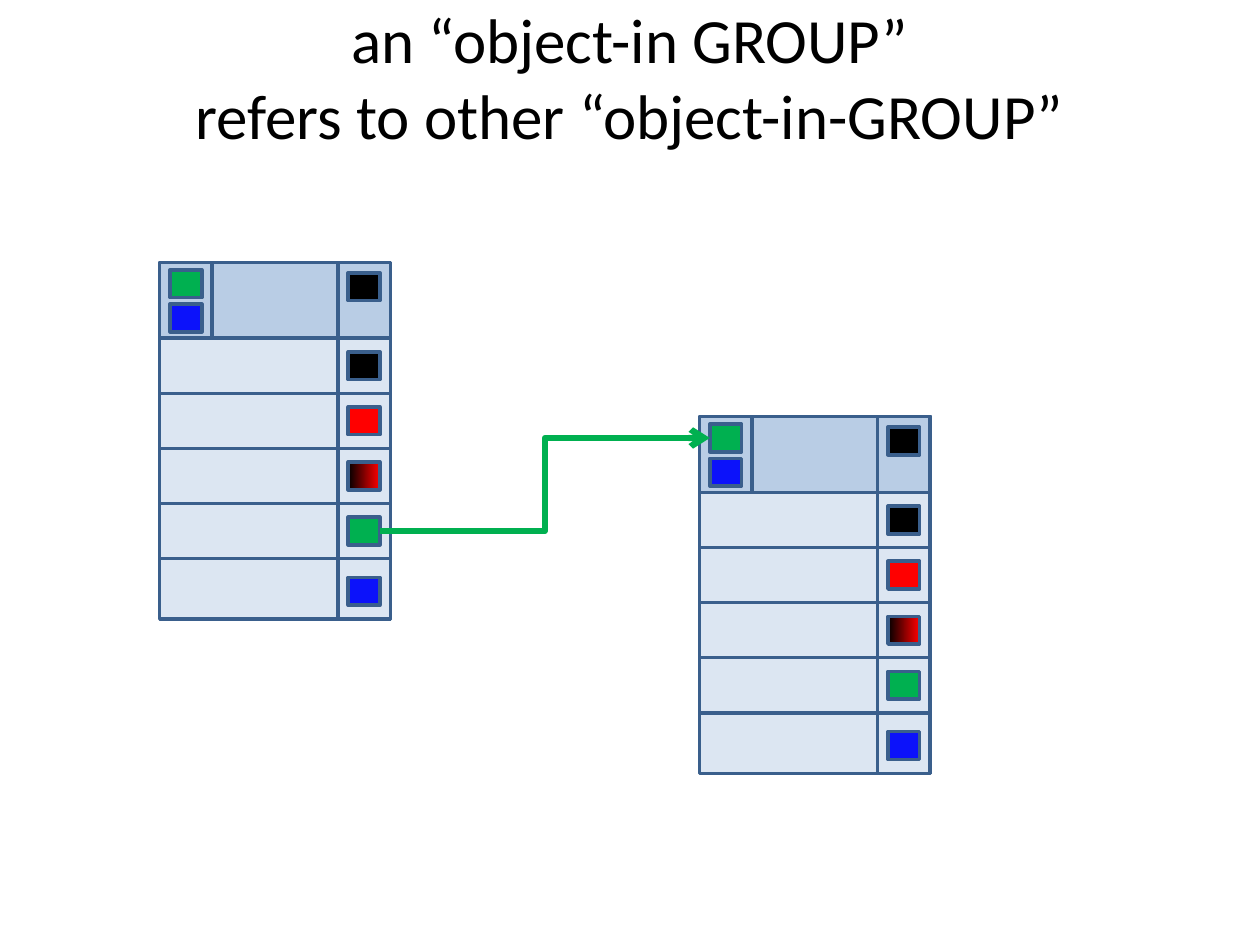
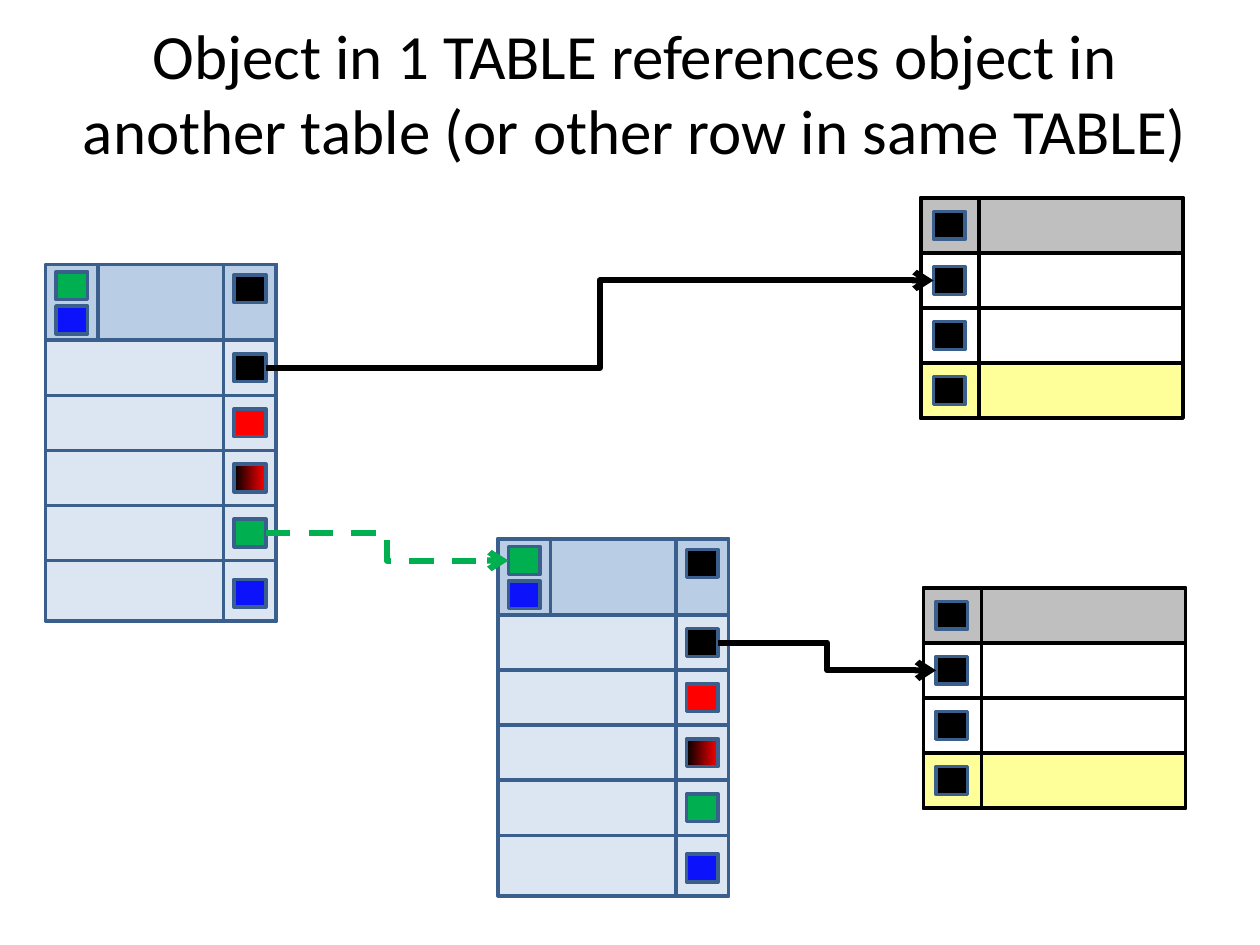
import pptx
import pptx.dml.color
import pptx.enum.dml
import pptx.enum.shapes
import pptx.enum.text
import pptx.util
from lxml import etree
from pptx.oxml.ns import qn

Cm = pptx.util.Cm
Pt = pptx.util.Pt
RGBColor = pptx.dml.color.RGBColor

BLACK = RGBColor(0x00, 0x00, 0x00)
RED = RGBColor(0xFF, 0x00, 0x00)
GREEN = RGBColor(0x00, 0xB0, 0x50)
BLUE = RGBColor(0x0C, 0x12, 0xFA)
STEEL = RGBColor(0x3A, 0x5F, 0x8C)
OBJECT_BODY = RGBColor(0xDC, 0xE6, 0xF2)
OBJECT_HEAD = RGBColor(0xB9, 0xCD, 0xE5)
TABLE_HEAD = RGBColor(0xBF, 0xBF, 0xBF)
TABLE_LAST = RGBColor(0xFF, 0xFF, 0x99)

FONT = "Calibri"
ROW = 1.11
MARK_WIDTH, MARK_HEIGHT = 0.64, 0.56
MARK_GAP = (ROW - MARK_HEIGHT) / 2
LEFT_SITE, RIGHT_SITE = 1, 3


def add_title(page, text, left, top, width, height):
    """Add a centred slide title."""
    box = page.shapes.add_textbox(Cm(left), Cm(top), Cm(width), Cm(height))
    frame = box.text_frame
    frame.word_wrap = True
    frame.vertical_anchor = pptx.enum.text.MSO_ANCHOR.MIDDLE
    para = frame.paragraphs[0]
    para.text = text
    para.alignment = pptx.enum.text.PP_ALIGN.CENTER
    para.font.name = FONT
    para.font.size = Pt(36)
    para.font.color.rgb = BLACK


def add_cell(group, left, top, width, height, line, fill=None):
    """Add an outlined rectangle to a group, hollow unless a fill is given."""
    cell = group.shapes.add_shape(
        pptx.enum.shapes.MSO_SHAPE.RECTANGLE, Cm(left), Cm(top), Cm(width), Cm(height))
    cell.shadow.inherit = False
    cell.line.color.rgb = line
    cell.line.width = Pt(2)
    if fill is None:
        cell.fill.background()
    else:
        cell.fill.solid()
        cell.fill.fore_color.rgb = fill
    return cell


def add_mark(group, left, top, fill):
    """Add a small coloured reference mark."""
    return add_cell(group, left, top, MARK_WIDTH, MARK_HEIGHT, STEEL, fill)


def blend_mark(mark, start, end):
    """Fill a mark with a left-to-right gradient."""
    mark.fill.gradient()
    mark.fill.gradient_angle = 0
    for stop, color, position in zip(mark.fill.gradient_stops, (start, end), (0, 1)):
        stop.color.rgb = color
        stop.position = position


def add_object(page, left, top):
    """Draw an object group and return its marks by name."""
    width, height, head, column = 4.65, 7.19, 1.53, 1.06
    column_left = left + width - column
    mark_inset = (column - MARK_WIDTH) / 2
    group = page.shapes.add_group_shape()
    add_cell(group, left, top, width, height, STEEL, OBJECT_BODY)
    add_cell(group, left, top, width, head, STEEL, OBJECT_HEAD)
    for row in range(4):
        add_cell(group, left, top + head + row * ROW, width, ROW, STEEL)
    add_cell(group, column_left, top, column, height, STEEL)
    add_cell(group, left, top, column, head, STEEL)

    mark_left = column_left + mark_inset
    rows_top = top + head + MARK_GAP
    marks = {}
    for row, (name, color) in enumerate(
            [("black", BLACK), ("red", RED), ("blend", RED), ("green", GREEN)]):
        marks[name] = add_mark(group, mark_left, rows_top + row * ROW, color)
    blend_mark(marks["blend"], BLACK, RED)
    add_mark(group, mark_left, top + 6.35, BLUE)
    add_mark(group, mark_left, top + 0.21, BLACK)
    marks["identity"] = add_mark(group, left + mark_inset, top + 0.15, GREEN)
    add_mark(group, left + mark_inset, top + 0.84, BLUE)
    return marks


def add_record_table(page, left, top):
    """Draw a four-row record table and return the mark of each row."""
    width, column = 5.28, 1.17
    fills = [TABLE_HEAD, None, None, TABLE_LAST]
    height = len(fills) * ROW
    group = page.shapes.add_group_shape()
    add_cell(group, left, top, width, height, BLACK)
    for row, fill in enumerate(fills):
        add_cell(group, left, top + row * ROW, width, ROW, BLACK, fill)
    add_cell(group, left, top, column, height, BLACK)
    return [add_mark(group, left + 0.25, top + row * ROW + MARK_GAP, BLACK)
            for row in range(len(fills))]


def add_reference(page, source, target, color, dashed=False):
    """Join two marks with an elbow arrow."""
    arrow = page.shapes.add_connector(pptx.enum.shapes.MSO_CONNECTOR.ELBOW, 0, 0, 0, 0)
    arrow.begin_connect(source, RIGHT_SITE)
    arrow.end_connect(target, LEFT_SITE)
    arrow.line.color.rgb = color
    arrow.line.width = Pt(3.5)
    if dashed:
        arrow.line.dash_style = pptx.enum.dml.MSO_LINE.DASH
    etree.SubElement(arrow.line._get_or_add_ln(), qn("a:tailEnd"), type="arrow")
    etree.SubElement(arrow._element.spPr, qn("a:effectLst"))


def build_group_page(page):
    """Show one object in a group referring to another."""
    add_title(page, "an “object-in GROUP”\vrefers to other “object-in-GROUP”",
              1.27, 0.76, 22.86, 1.57)
    source = add_object(page, 3.22, 5.29)
    target = add_object(page, 14.1, 8.4)
    add_reference(page, source["green"], target["identity"], GREEN)


def build_table_page(page):
    """Show objects referring to table rows and to each other."""
    add_title(page, "Object in 1 TABLE references object in another table "
                    "(or other row in same TABLE)", 1.27, 0.43, 23.06, 2.84)
    lower_table = add_record_table(page, 18.62, 11.85)
    first = add_object(page, 0.92, 5.33)
    second = add_object(page, 10.04, 10.87)
    upper_table = add_record_table(page, 18.57, 3.99)
    add_reference(page, first["green"], second["identity"], GREEN, dashed=True)
    add_reference(page, first["black"], upper_table[1], BLACK)
    add_reference(page, second["black"], lower_table[1], BLACK)


def main():
    """Build and save the deck."""
    deck = pptx.Presentation()
    deck.slide_width, deck.slide_height = Cm(25.4), Cm(19.05)
    blank = deck.slide_layouts[6]
    for build in (build_group_page, build_table_page):
        build(deck.slides.add_slide(blank))
    deck.save("out.pptx")


if __name__ == "__main__":
    main()
